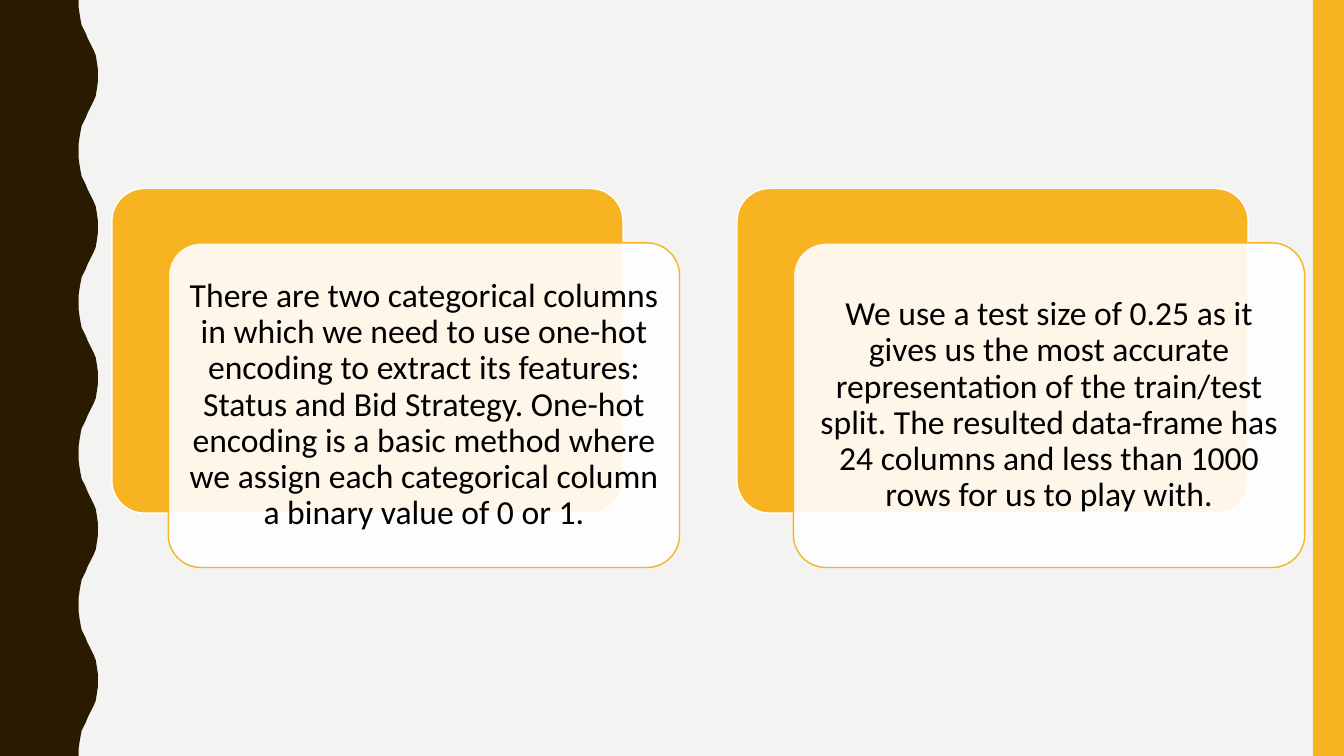
from pptx import Presentation, util as u
from pptx.dml.color import RGBColor
from pptx.enum import shapes, text
from pptx.oxml import parse_xml
from pptx.oxml.ns import nsdecls

CREAM = RGBColor(0xF3, 0xF3, 0xF2)
BROWN = RGBColor(0x2A, 0x1A, 0x00)
AMBER = RGBColor(0xF8, 0xB3, 0x23)
GOLD = RGBColor(0xF7, 0xB3, 0x21)
WHITE = RGBColor(0xFF, 0xFF, 0xFF)
BLACK = RGBColor(0x00, 0x00, 0x00)

WIDE, HIGH = 13.33, 7.5
CREST = [(78, 0), (78, 7), (79, 14), (80, 20), (81, 25), (83, 29), (85, 33),
         (87, 38), (89, 42), (91, 46), (93, 50), (95, 55), (96, 61), (97, 68),
         (97, 75)]
PITCH = 150

NOTES = [
    "There are two categorical columns in which we need to use one-hot "
    "encoding to extract its features: Status and Bid Strategy. One-hot "
    "encoding is a basic method where we assign each categorical column "
    "a binary value of 0 or 1.",
    "We use a test size of 0.25 as it gives us the most accurate "
    "representation of the train/test split. The resulted data-frame has "
    "24 columns and less than 1000 rows for us to play with.",
]


def paint(shape, fill, line=None):
    shape.shadow.inherit = False
    shape.fill.solid()
    shape.fill.fore_color.rgb = fill
    if line is None:
        shape.line.fill.background()
    else:
        shape.line.color.rgb = line
        shape.line.width = u.Pt(1)


def add_wave(slide, left, top, high):
    wave = CREST + [(x, PITCH - y) for x, y in CREST[-2:0:-1]]
    count = round(high * 100 / PITCH)
    edge = [(x, y + PITCH * i) for i in range(count) for x, y in wave]
    foot = PITCH * count
    edge += [(CREST[0][0], foot), (0, foot)]
    form = slide.shapes.build_freeform(0, 0, scale=u.Inches(0.01))
    form.add_line_segments(edge, close=True)
    paint(form.convert_to_shape(u.Inches(left), u.Inches(top)), BROWN)


def add_band(slide, left, top, wide, high):
    band = slide.shapes.add_shape(
        shapes.MSO_SHAPE.RECTANGLE, *map(u.Inches, (left, top, wide, high)))
    paint(band, AMBER)


def add_panel(slide, left, top, wide, high, fill, line):
    panel = slide.shapes.add_shape(
        shapes.MSO_SHAPE.ROUNDED_RECTANGLE,
        *map(u.Inches, (left, top, wide, high)))
    panel.adjustments[0] = 0.1
    paint(panel, fill, line)
    return panel


def add_note(slide, left, top, wide, high, words):
    box = slide.shapes.add_textbox(*map(u.Inches, (left, top, wide, high)))
    frame = box.text_frame
    frame.word_wrap = True
    frame.vertical_anchor = text.MSO_ANCHOR.MIDDLE
    frame.margin_left = frame.margin_right = u.Inches(0.1)
    frame.margin_top = frame.margin_bottom = u.Inches(0.1)
    frame.text = words
    para = frame.paragraphs[0]
    para.alignment = text.PP_ALIGN.CENTER
    para.line_spacing = 0.9
    font = para.runs[0].font
    font.name = "Calibri"
    font.size = u.Pt(24)
    font.color.rgb = BLACK


def add_card(slide, left, top, wide, high, words):
    add_panel(slide, left, top, wide, high, GOLD, WHITE)
    left, top = left + 0.56, top + 0.54
    front = add_panel(slide, left, top, wide, high, WHITE, GOLD)
    tint = front.fill.fore_color._xFill.find(".//{*}srgbClr")
    tint.append(parse_xml(f'<a:alpha {nsdecls("a")} val="90000"/>'))
    pad = 0.1
    add_note(slide, left + pad, top + pad, wide - 2 * pad, high - 2 * pad,
             words)


def add_page(deck):
    slide = deck.slides.add_slide(deck.slide_layouts[6])
    back = slide.background.fill
    back.solid()
    back.fore_color.rgb = CREAM
    add_wave(slide, 0, 0, HIGH)
    add_band(slide, WIDE - 0.31, 0, 0.31, HIGH)
    for i, words in enumerate(NOTES):
        add_card(slide, 1.11 + 6.2 * i, 1.87, 5.07, 3.22, words)


def main():
    deck = Presentation()
    deck.slide_width = u.Inches(WIDE)
    deck.slide_height = u.Inches(HIGH)
    add_page(deck)
    deck.save("out.pptx")


if __name__ == "__main__":
    main()
